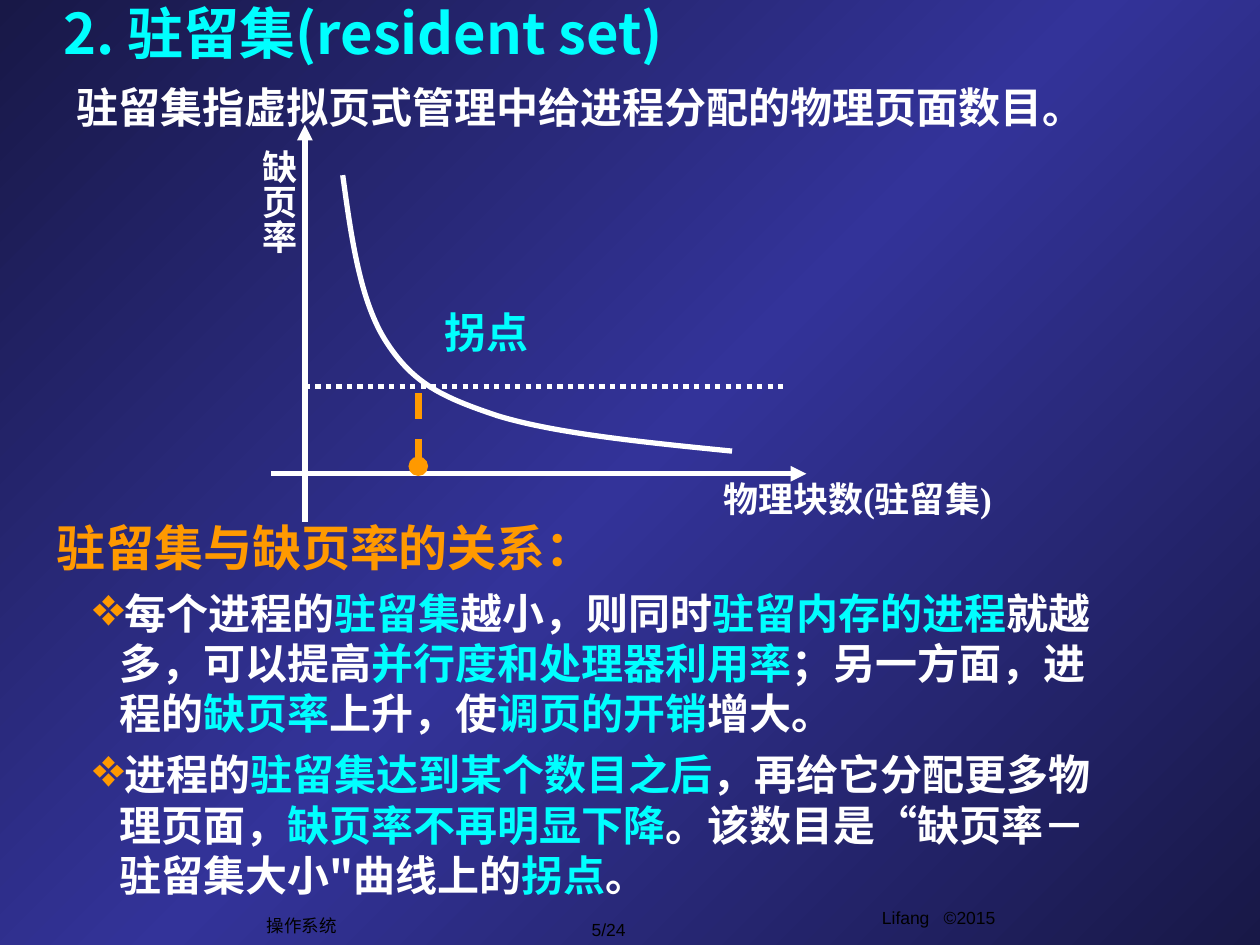
from copy import deepcopy
from lxml.etree import SubElement as Sub
from pptx import Presentation
from pptx.dml.color import RGBColor
from pptx.enum.dml import MSO_LINE as Dash
from pptx.enum.shapes import MSO_CONNECTOR as Conn
from pptx.enum.text import MSO_ANCHOR as Anchor, PP_ALIGN as Align
from pptx.oxml.ns import qn
from pptx.util import Inches, Pt

WIDE, HIGH = 10, 7.5
HEX = {"night": "181847", "blue": "333399", "white": "FFFFFF",
       "cyan": "00FFFF", "gold": "FF9900", "black": "000000"}
SANS, SERIF, ARIAL = "Noto Sans CJK SC", "Times New Roman", "Arial"
# Axes of the chart, in inches
AXIS_X, AXIS_Y = 2.42, 3.76
KNEE_X, KNEE_Y = 3.32, 3.07
CURVE = [(2.72, 1.39),
         (2.79, 1.9), (2.86, 2.4), (3.07, 2.72),
         (3.28, 3.04), (3.5, 3.15), (3.95, 3.3),
         (4.41, 3.44), (5.11, 3.51), (5.81, 3.58)]
# Text between bars is shown in cyan
POINTS = [
    "每个进程的|驻留集|越小，则同时|驻留内存的进程|就越多，可以提高|并行度和处理器利用率"
    "|；另一方面，进程的|缺页率|上升，使|调页的开销|增大。",
    "进程的|驻留集达到某个数目之后|，再给它分配更多物理页面，|缺页率不再明显下降"
    "|。该数目是“缺页率－驻留集大小\"曲线上的|拐点|。",
]


def rgb(name):
    return RGBColor.from_string(HEX[name])


def paint(slide):
    """Fill the background with a dark, bright, dark diagonal."""
    fill = slide.background.fill
    fill.gradient()
    fill.gradient_angle = 315
    first = fill.gradient_stops[0]._gs
    first.addnext(deepcopy(first))
    for stop, name, place in zip(fill.gradient_stops, ("night", "blue", "night"), (0, 0.5, 1)):
        stop.color.rgb = rgb(name)
        stop.position = place


def write(para, text, size=24, font=SERIF, color="white", bold=True,
          align=Align.LEFT, before=0, lead=1.2):
    """Add runs to a paragraph, every second part in cyan."""
    para.alignment = align
    para.line_spacing = Pt(size * lead)
    para.space_before = Pt(before)
    for i, part in enumerate(text.split("|")):
        run = para.add_run()
        run.text = part
        face = run.font
        face.name, face.size, face.bold = font, Pt(size), bold
        face.color.rgb = rgb("cyan" if i % 2 else color)


def label(slide, area, text, wrap=True, anchor=Anchor.TOP, vert=None, tab=None, **form):
    frame = slide.shapes.add_textbox(*map(Inches, area)).text_frame
    frame.word_wrap = wrap
    frame.vertical_anchor = anchor
    if vert:
        frame._txBody.bodyPr.set("vert", vert)
        frame.margin_left = frame.margin_right = Inches(0.05)
        frame.margin_top = frame.margin_bottom = Inches(0.1)
    para = frame.paragraphs[0]
    if tab:
        stops = Sub(para._p.get_or_add_pPr(), qn("a:tabLst"))
        Sub(stops, qn("a:tab"), pos=str(Inches(tab)), algn="l")
    write(para, text, **form)
    return frame


def bullet(frame, text):
    para = frame.add_paragraph()
    props = para._p.get_or_add_pPr()
    props.set("marL", str(Inches(0.5)))
    props.set("indent", str(Inches(-0.21)))
    tint = Sub(props, qn("a:buClr"))
    Sub(tint, qn("a:srgbClr"), val=HEX["gold"])
    Sub(props, qn("a:buSzPct"), val="130000")
    Sub(props, qn("a:buChar"), char="❖")
    write(para, text, font=SANS, before=6)


def line(slide, start, end, color="white", width=3, dash=None, tip=None):
    link = slide.shapes.add_connector(Conn.STRAIGHT, *map(Inches, start + end))
    Sub(link._element.spPr, qn("a:effectLst"))
    link.line.color.rgb = rgb(color)
    link.line.width = Pt(width)
    if dash:
        link.line.dash_style = dash
    if tip:
        Sub(link.line._get_or_add_ln(), qn("a:tailEnd"), type=tip)


def curve(slide, dots):
    """Draw a start point and triples of points as Bezier arcs."""
    first, *rest = [(Inches(x), Inches(y)) for x, y in dots]
    pen = slide.shapes.build_freeform(*first)
    pen.add_line_segments(rest, close=False)
    shape = pen.convert_to_shape()
    shape.shadow.inherit = False
    shape.fill.background()
    shape.line.color.rgb = rgb("white")
    shape.line.width = Pt(3)
    track = next(shape._element.iter(qn("a:path")))
    legs = track.findall(qn("a:lnTo"))
    for i in range(0, len(legs), 3):
        arc = Sub(track, qn("a:cubicBezTo"))
        for leg in legs[i:i + 3]:
            arc.append(leg[0])
            track.remove(leg)


def chart(slide):
    line(slide, (AXIS_X, 4.14), (AXIS_X, 0.99), tip="triangle")
    line(slide, (2.15, AXIS_Y), (6.4, AXIS_Y), tip="triangle")
    curve(slide, CURVE)
    mid = dict(wrap=False, anchor=Anchor.MIDDLE, align=Align.CENTER, size=20)
    label(slide, (5.54, 3.74, 2.53, 0.44), "物理块数(驻留集)", **mid)
    label(slide, (1.95, 1.09, 0.53, 0.94), "缺页率", vert="eaVert", **mid)
    line(slide, (AXIS_X, KNEE_Y), (6.23, KNEE_Y), dash=Dash.ROUND_DOT)
    label(slide, (3.43, 2.42, 1.11, 0.46), "拐点", font=ARIAL, color="cyan", lead=1.08)
    line(slide, (KNEE_X, 3.12), (KNEE_X, 3.7), "gold", 3.75, Dash.DASH, "oval")


def footer(slide):
    form = dict(size=10, font=ARIAL, color="black", bold=False)
    owner = label(slide, (5.87, 7.15, 3.17, 0.35), "Lifang\t©2015", tab=0.49, **form)
    owner.margin_left = Inches(1.13)
    for area, text in (((4.32, 7.24, 1.02, 0.27), "5/24"),
                       ((2.02, 7.21, 0.75, 0.27), "操作系统")):
        label(slide, area, text, wrap=False, anchor=Anchor.MIDDLE,
              align=Align.CENTER, **form)


def main():
    deck = Presentation()
    deck.slide_width, deck.slide_height = Inches(WIDE), Inches(HIGH)
    slide = deck.slides.add_slide(deck.slide_layouts[6])
    paint(slide)
    footer(slide)
    label(slide, (0.51, 0.6, 8.74, 0.5), "驻留集指虚拟页式管理中给进程分配的物理页面数目。")
    body = label(slide, (0.35, 4.06, 8.65, 3.14), "驻留集与缺页率的关系：",
                 size=28, font=SANS, color="gold")
    for text in POINTS:
        bullet(body, text)
    label(slide, (0, 0, 5.77, 0.51), "2. 驻留集(resident set)", anchor=Anchor.MIDDLE,
          size=32, font=SANS, color="cyan", align=Align.CENTER)
    chart(slide)
    deck.save("out.pptx")


if __name__ == "__main__":
    main()
